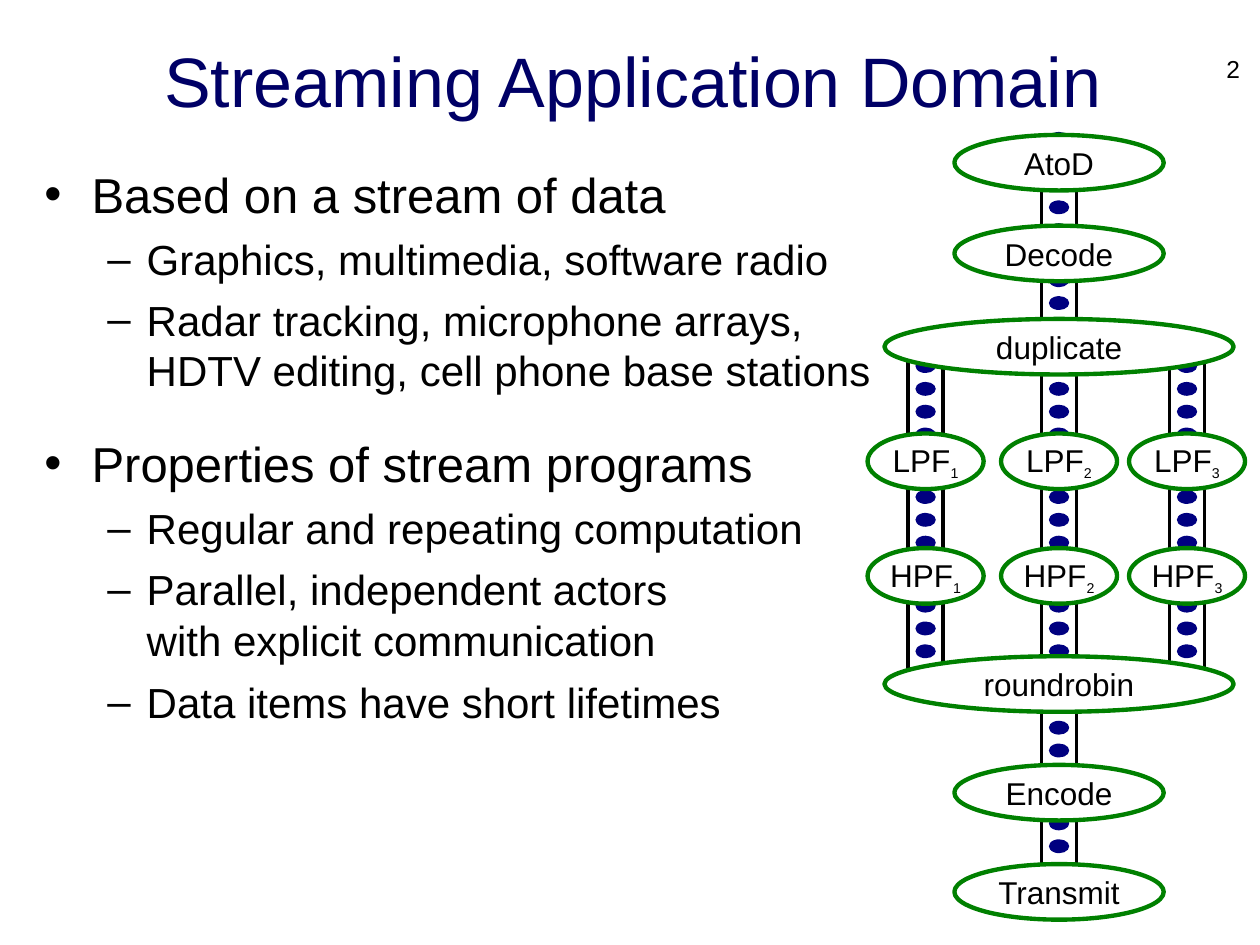
from pptx import Presentation
from pptx.dml.color import RGBColor
from pptx.enum.shapes import MSO_SHAPE
from pptx.enum.text import MSO_ANCHOR, MSO_AUTO_SIZE, PP_ALIGN
from pptx.util import Cm, Pt

RECT, OVAL = MSO_SHAPE.RECTANGLE, MSO_SHAPE.OVAL
MIDDLE, TOP = MSO_ANCHOR.MIDDLE, MSO_ANCHOR.TOP
LEFT, CENTER, RIGHT = PP_ALIGN.LEFT, PP_ALIGN.CENTER, PP_ALIGN.RIGHT
FIXED = MSO_AUTO_SIZE.NONE

COLORS = {"title": "000066", "text": "000000", "dot": "000080",
          "ring": "008000", "paper": "FFFFFF"}
FONT = "Arial"


class Deck:
    def __init__(self):
        self.prs = Presentation()
        self.prs.slide_width, self.prs.slide_height = Cm(25.4), Cm(19.05)
        self.slide = self.prs.slides.add_slide(self.prs.slide_layouts[1])

    def color(self, name):
        return RGBColor.from_string(COLORS[name])

    def style(self, para, size, align, color="text"):
        para.alignment = align
        para.font.name, para.font.size = FONT, Pt(size)
        para.font.color.rgb = self.color(color)

    def place(self, shape, x, y, w, h):
        shape.left, shape.top = Cm(x), Cm(y)
        shape.width, shape.height = Cm(w), Cm(h)
        shape.text_frame.auto_size = FIXED
        shape.text_frame.word_wrap = True

    def title(self, text, *area):
        shape = self.slide.shapes.title
        self.place(shape, *area)
        frame = shape.text_frame
        frame.vertical_anchor = MIDDLE
        frame.text = text
        self.style(frame.paragraphs[0], 40, CENTER, "title")

    def body(self, items, *area):
        shape = self.slide.placeholders[1]
        self.place(shape, *area)
        frame = shape.text_frame
        frame.vertical_anchor = TOP
        for i, (level, space, text) in enumerate(items):
            para = frame.add_paragraph() if i else frame.paragraphs[0]
            para.text, para.level = text, level
            para.space_before = Pt(space)
            self.style(para, 24 if level else 28, LEFT)

    def label(self, text, *area):
        shape = self.slide.shapes.add_textbox(*map(Cm, area))
        self.place(shape, *area)
        shape.text_frame.text = text
        self.style(shape.text_frame.paragraphs[0], 14, RIGHT)

    def form(self, home, kind, mid, y, w, h, fill, line=None, width=0):
        shape = home.shapes.add_shape(kind, Cm(mid - w / 2), Cm(y), Cm(w), Cm(h))
        shape.shadow.inherit = False
        shape.fill.solid()
        shape.fill.fore_color.rgb = self.color(fill)
        if line:
            shape.line.color.rgb = self.color(line)
            shape.line.width = Pt(width)
        else:
            shape.line.fill.background()
        return shape

    def pipe(self, mid, y, first=0):
        self.form(self.slide, RECT, mid, y, 0.71, 2.01, "paper", "text", 2)
        group = self.slide.shapes.add_group_shape()
        for i in range(first, 6):
            self.form(group, OVAL, mid, y - 0.41 + 0.46 * i, 0.41, 0.28, "dot")

    def actor(self, mid, y, w, text, sub=""):
        shape = self.form(self.slide, OVAL, mid, y, w, 1.12, "paper", "ring", 2.5)
        frame = shape.text_frame
        frame.word_wrap, frame.vertical_anchor = False, MIDDLE
        para = frame.paragraphs[0]
        self.style(para, 18, CENTER)
        para.add_run().text = text
        if sub:
            run = para.add_run()
            run.text, run.font.size = sub, Pt(14)
            run._r.get_or_add_rPr().set("baseline", "-25000")


POINTS = [
    (0, 7, "Based on a stream of data"),
    (1, 6, "Graphics, multimedia, software radio"),
    (1, 6, "Radar tracking, microphone arrays,\vHDTV editing, cell phone base stations"),
    (0, 22, "Properties of stream programs"),
    (1, 6, "Regular and repeating computation"),
    (1, 6, "Parallel, independent actors\vwith explicit communication"),
    (1, 7, "Data items have short lifetimes"),
]

LANES = [18.66, 21.35, 23.93]
MID = LANES[1:2]
SLIM, WIDE, SMALL = 4.22, 7.04, 2.34

STAGES = [
    ("AtoD", 2.72, SLIM, MID, 3.07, 0),
    ("Decode", 4.55, SLIM, MID, 5.0, 0),
    ("duplicate", 6.43, WIDE, LANES, 7.19, 0),
    ("LPF", 8.74, SMALL, LANES, 9.37, 0),
    ("HPF", 11.05, SMALL, LANES, 11.56, 0),
    ("roundrobin", 13.23, WIDE, MID, 14.02, 0),
    ("Encode", 15.42, SLIM, MID, 15.95, 1),
    ("Transmit", 17.42, SLIM, [], 0, 0),
]


def main():
    deck = Deck()
    deck.title("Streaming Application Domain", 0.74, 0.48, 24.03, 2.24)
    deck.body(POINTS, 0.64, 3.18, 17.22, 15.37)
    for name, y, w, lanes, top, first in STAGES:
        for mid in lanes:
            deck.pipe(mid, top, first)
        if w == SMALL:
            for i, mid in enumerate(LANES, 1):
                deck.actor(mid, y, w, name, str(i))
        else:
            deck.actor(LANES[1], y, w, name)
    deck.label("2", 24.03, 0.97, 1.22, 0.76)
    deck.prs.save("out.pptx")


if __name__ == "__main__":
    main()
